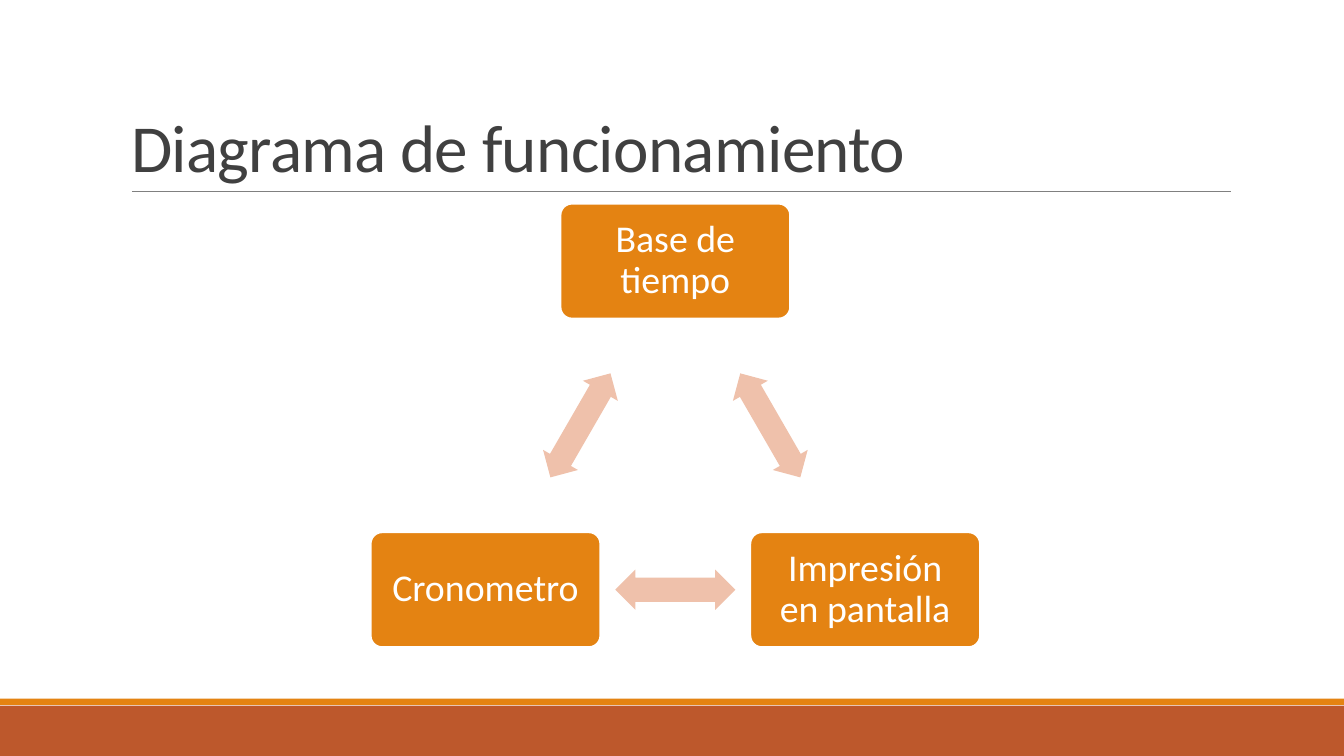
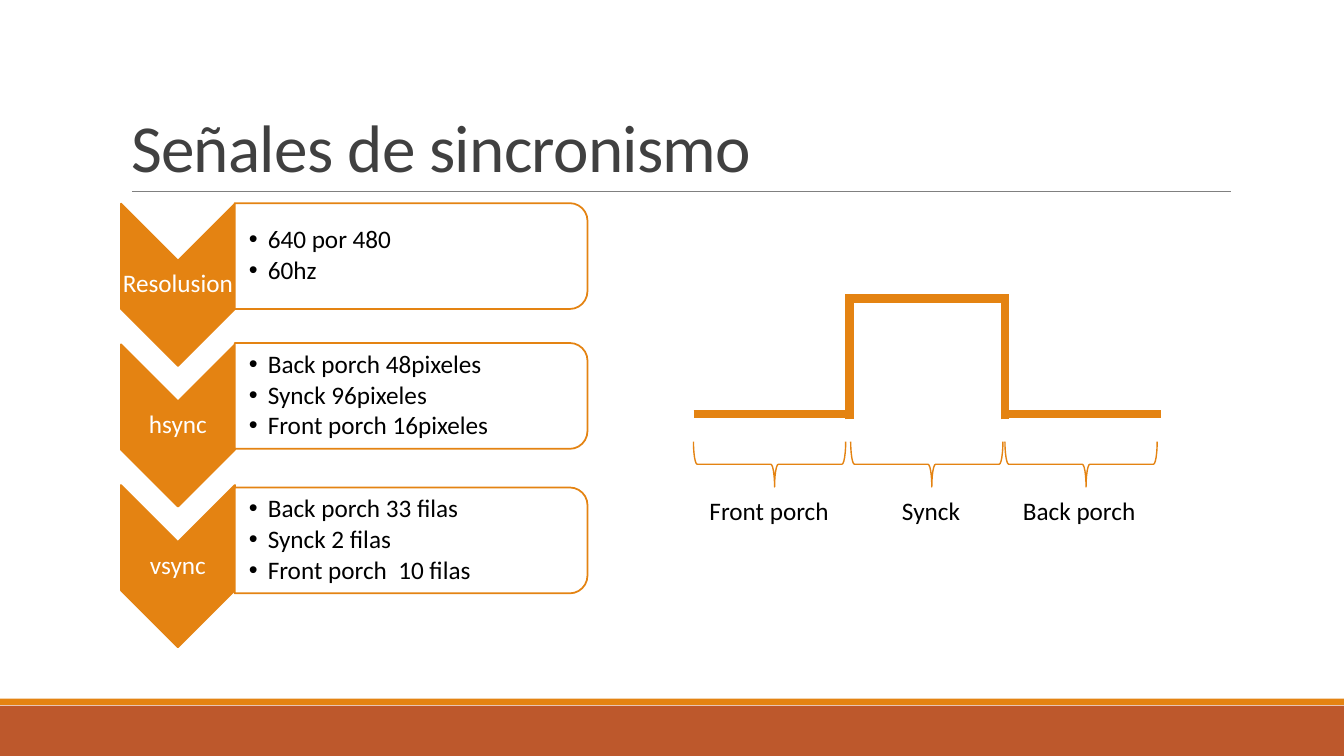
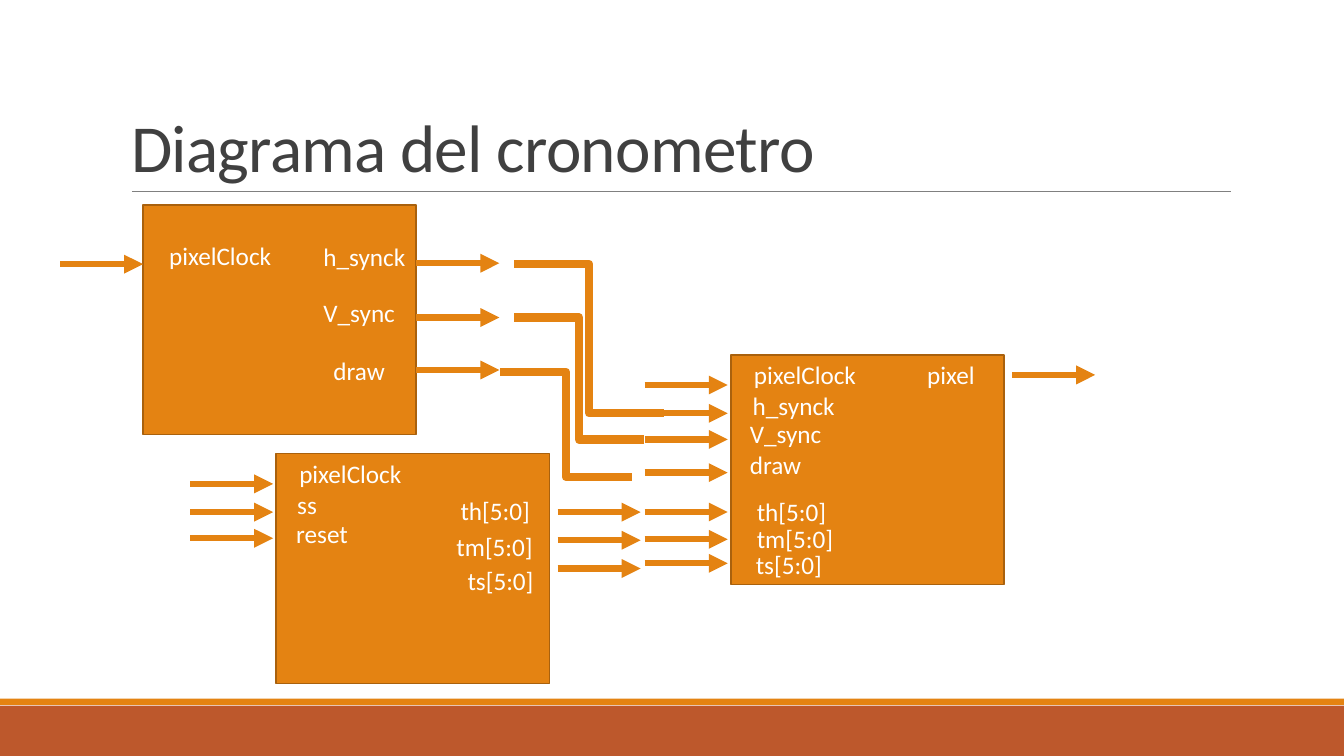
from dataclasses import dataclass
from itertools import combinations
from typing import Optional

from lxml.etree import SubElement as Sub
from pptx import Presentation
from pptx.dml.color import RGBColor as RGB
from pptx.enum.shapes import MSO_CONNECTOR as Link, MSO_SHAPE as Kind
from pptx.enum.text import MSO_ANCHOR as Anchor, MSO_AUTO_SIZE as Auto, PP_ALIGN as Align
from pptx.oxml.ns import qn
from pptx.util import Pt

ORANGE = RGB(0xE4, 0x83, 0x12)
RUST = RGB(0xBD, 0x58, 0x2C)
PEACH = RGB(0xEF, 0xC1, 0xAB)
BROWN = RGB(0xA9, 0x61, 0x0D)
GREY = RGB(0x80, 0x80, 0x80)
DARK = RGB(0x40, 0x40, 0x40)
BLACK = RGB(0, 0, 0)
WHITE = RGB(0xFF, 0xFF, 0xFF)
FONT = "Calibri"


@dataclass(frozen=True)
class Node:
    text: str
    x: float
    y: float


@dataclass(frozen=True)
class Step:
    name: str
    mid: float
    side: float
    items: tuple[str, ...]


@dataclass(frozen=True)
class Phase:
    name: str
    mid: float
    left: float


@dataclass(frozen=True)
class Pin:
    name: str
    x: float
    y: float
    wire: float
    out: bool = False


@dataclass(frozen=True)
class Block:
    x: float
    y: float
    before: float
    after: float
    pins: tuple[Pin, ...]


NODES = (
    Node("Base de tiempo", 482.4, 186.5),
    Node("Impresión en pantalla", 618, 421.2),
    Node("Cronometro", 346.8, 421.2),
)
TURNS = (60, 300, 180)

STEPS = (
    Step("Resolusion", 203.4, 182.9, ("640 por 480", "60hz")),
    Step("hsync", 303.9, 282.8,
         ("Back porch 48pixeles", "Synck 96pixeles", "Front porch 16pixeles")),
    Step("vsync", 404.4, 386,
         ("Back porch 33 filas", "Synck 2 filas", "Front porch  10 filas")),
)

PHASES = (
    Phase("Front porch", 549.7, 499.7),
    Phase("Synck", 662, 637.2),
    Phase("Back porch", 772.2, 723.6),
)

WIDTHS = {
    "pixelClock": 88.6, "h_synck": 73.4, "V_sync": 66.2, "draw": 51.8,
    "th[5:0]": 64.8, "tm[5:0]": 69.8, "ts[5:0]": 61.9,
    "pixel": 49, "ss": 28.8, "reset": 51.8,
}
BLOCKS = (
    Block(102.2, 146.2, 0, 0, (
        Pin("pixelClock", 11.5, 21.6, 42.5),
        Pin("h_synck", 121.7, 22.3, 41.8, True),
        Pin("V_sync", 121.7, 62.6, 80.6, True),
        Pin("draw", 128.9, 103.7, 118.1, True),
    )),
    Block(522, 253.4, 2.2, 5.8, (
        Pin("pixelClock", 9.4, 0, 21.6),
        Pin("h_synck", 8.6, 21.6, 41.8),
        Pin("V_sync", 6.5, 41.8, 60.5),
        Pin("draw", 6.5, 64.1, 84.2),
        Pin("th[5:0]", 11.5, 97.9, 112.3),
        Pin("tm[5:0]", 11.5, 116.6, 131.8),
        Pin("ts[5:0]", 10.8, 135.4, 149),
        Pin("pixel", 133.2, 0, 14.4, True),
    )),
    Block(197.3, 324, 2.2, 5.8, (
        Pin("pixelClock", 9.4, 0, 21.6),
        Pin("ss", 7.9, 22.3, 41.8),
        Pin("reset", 7.2, 42.5, 60.5),
        Pin("th[5:0]", 124.6, 26.6, 41.8, True),
        Pin("tm[5:0]", 121.7, 51.8, 61.9, True),
        Pin("ts[5:0]", 129.6, 76.3, 82.1, True),
    )),
)
BENDS = (
    (357.1, 265.7, 451.4, 340.6),
    (367.2, 226.8, 460.1, 313.9),
    (367.2, 188.6, 474.5, 295.2),
)


def draw(slide, kind: Kind, x: float, y: float, w: float, h: float,
         fill: Optional[RGB] = None, line: Optional[RGB] = None,
         weight: float = 1.25, turn: float = 0, adjust: tuple[float, ...] = ()):
    shape = slide.shapes.add_shape(kind, Pt(x), Pt(y), Pt(w), Pt(h))
    shape.shadow.inherit = False
    shape.rotation = turn
    for i, value in enumerate(adjust):
        shape.adjustments[i] = value
    if fill is None:
        shape.fill.background()
    else:
        shape.fill.solid()
        shape.fill.fore_color.rgb = fill
    if line is None:
        shape.line.fill.background()
    else:
        shape.line.color.rgb = line
        shape.line.width = Pt(weight)
    return shape


def center(slide, kind: Kind, x: float, y: float, w: float, h: float, **style):
    return draw(slide, kind, x - w / 2, y - h / 2, w, h, **style)


def join(slide, x1: float, y1: float, x2: float, y2: float, color: RGB = ORANGE,
         weight: float = 6, kind: Link = Link.STRAIGHT, head: bool = False) -> None:
    wire = slide.shapes.add_connector(kind, Pt(x1), Pt(y1), Pt(x2), Pt(y2))
    wire.line.color.rgb = color
    wire.line.width = Pt(weight)
    props = wire.element.spPr
    if head:
        Sub(props.find(qn("a:ln")), qn("a:tailEnd"), type="triangle")
    Sub(props, qn("a:effectLst"))


def write(shape, text: str, size: float, color: RGB, align: Align = Align.LEFT,
          anchor: Anchor = Anchor.TOP, space: float = 1, wrap: bool = True,
          pad: Optional[float] = None) -> None:
    frame = shape.text_frame
    frame.text = text
    frame.word_wrap = wrap
    frame.auto_size = Auto.NONE
    frame.vertical_anchor = anchor
    if pad is not None:
        frame.margin_left = frame.margin_right = Pt(pad)
        frame.margin_top = frame.margin_bottom = Pt(pad)
    for para in frame.paragraphs:
        para.alignment = align
        para.line_spacing = space
        for run in para.runs:
            run.font.name = FONT
            run.font.size = Pt(size)
            run.font.color.rgb = color


def label(slide, text: str, x: float, y: float, w: float, h: float,
          size: float = 18, color: RGB = BLACK, **style):
    box = slide.shapes.add_textbox(Pt(x), Pt(y), Pt(w), Pt(h))
    write(box, text, size, color, **style)
    return box


def bullet(box) -> None:
    box.text_frame.margin_left = Pt(10)
    for para in box.text_frame.paragraphs:
        para.space_after = Pt(2.4)
        props = para._p.get_or_add_pPr()
        props.set("marL", str(Pt(13.5)))
        props.set("indent", str(Pt(-13.5)))
        Sub(props, qn("a:buFont"), typeface="Arial")
        Sub(props, qn("a:buChar"), char="•")


def page(deck, text: str):
    slide = deck.slides.add_slide(deck.slide_layouts[5])
    draw(slide, Kind.RECTANGLE, 0, 504, 960, 36, RUST)
    draw(slide, Kind.RECTANGLE, 0, 499, 960, 4.6, ORANGE)
    join(slide, 94.3, 136.8, 879.1, 136.8, GREY, 0.5)
    title = slide.shapes.title
    title.left, title.top = Pt(86.4), Pt(22.6)
    title.width, title.height = Pt(792), Pt(114.2)
    write(title, text, 48, DARK, anchor=Anchor.BOTTOM, space=0.85)
    for run in title.text_frame.paragraphs[0].runs:
        run.font._element.set("spc", "-50")
    return slide


def cycle(deck) -> None:
    slide = page(deck, "Diagrama de funcionamiento")
    for node in NODES:
        box = center(slide, Kind.ROUNDED_RECTANGLE, node.x, node.y, 164, 82,
                     fill=ORANGE, line=WHITE, adjust=(0.1,))
        write(box, node.text, 27, WHITE, Align.CENTER, Anchor.MIDDLE, 0.9, pad=7.9)
    for (a, b), turn in zip(combinations(NODES, 2), TURNS):
        center(slide, Kind.LEFT_RIGHT_ARROW, (a.x + b.x) / 2, (a.y + b.y) / 2,
               85.8, 28.8, fill=PEACH, turn=turn, adjust=(0.6, 0.5))


def sync(deck) -> None:
    slide = page(deck, "Señales de sincronismo")
    for step in STEPS:
        center(slide, Kind.CHEVRON, 127.1, step.mid, 115.9, 81.4,
               fill=ORANGE, line=ORANGE, turn=90)
        label(slide, step.name, 86.4, step.mid - 17.3, 81.4, 34.6, color=WHITE,
              align=Align.CENTER, anchor=Anchor.MIDDLE, space=0.9, pad=0.9)
        center(slide, Kind.ROUND_2_SAME_RECTANGLE, 293.6, step.side, 75.6, 252,
               fill=WHITE, line=ORANGE, turn=90)
        bullet(label(slide, "\n".join(step.items), 167.8, step.side - 33.9,
                     248.4, 67.8, anchor=Anchor.MIDDLE, space=0.9, pad=0.9))

    edges = [495.5 + 111.3 * i for i in range(4)]
    for left, right, y in zip(edges, edges[1:], (295.9, 213.1, 295.9)):
        join(slide, left, y, right, y)
    for x in edges[1:3]:
        join(slide, x, 299.5, x, 210.2)
    for phase in PHASES:
        center(slide, Kind.LEFT_BRACE, phase.mid, 331.6, 32.4, 108.7,
               line=ORANGE, weight=1, turn=270, adjust=(0.083, 0.533))
        label(slide, phase.name, phase.left, 350, 102.2, 29)


def clock(deck) -> None:
    slide = page(deck, "Diagrama del cronometro")
    wide, tall, reach = 195.2, 164.2, 59.3
    for block in BLOCKS:
        draw(slide, Kind.RECTANGLE, block.x, block.y, wide, tall, ORANGE, BROWN)
        for pin in block.pins:
            label(slide, pin.name, block.x + pin.x, block.y + pin.y,
                  WIDTHS[pin.name], 29, color=WHITE, wrap=False)
            y = block.y + pin.wire
            x = block.x + (wide + block.after if pin.out else -block.before - reach)
            join(slide, x, y, x + reach, y, weight=4.5, head=True)
    for bend in BENDS:
        join(slide, *bend, kind=Link.ELBOW)


def main() -> None:
    deck = Presentation()
    deck.slide_width, deck.slide_height = Pt(960), Pt(540)
    cycle(deck)
    sync(deck)
    clock(deck)
    deck.save("out.pptx")


if __name__ == "__main__":
    main()
